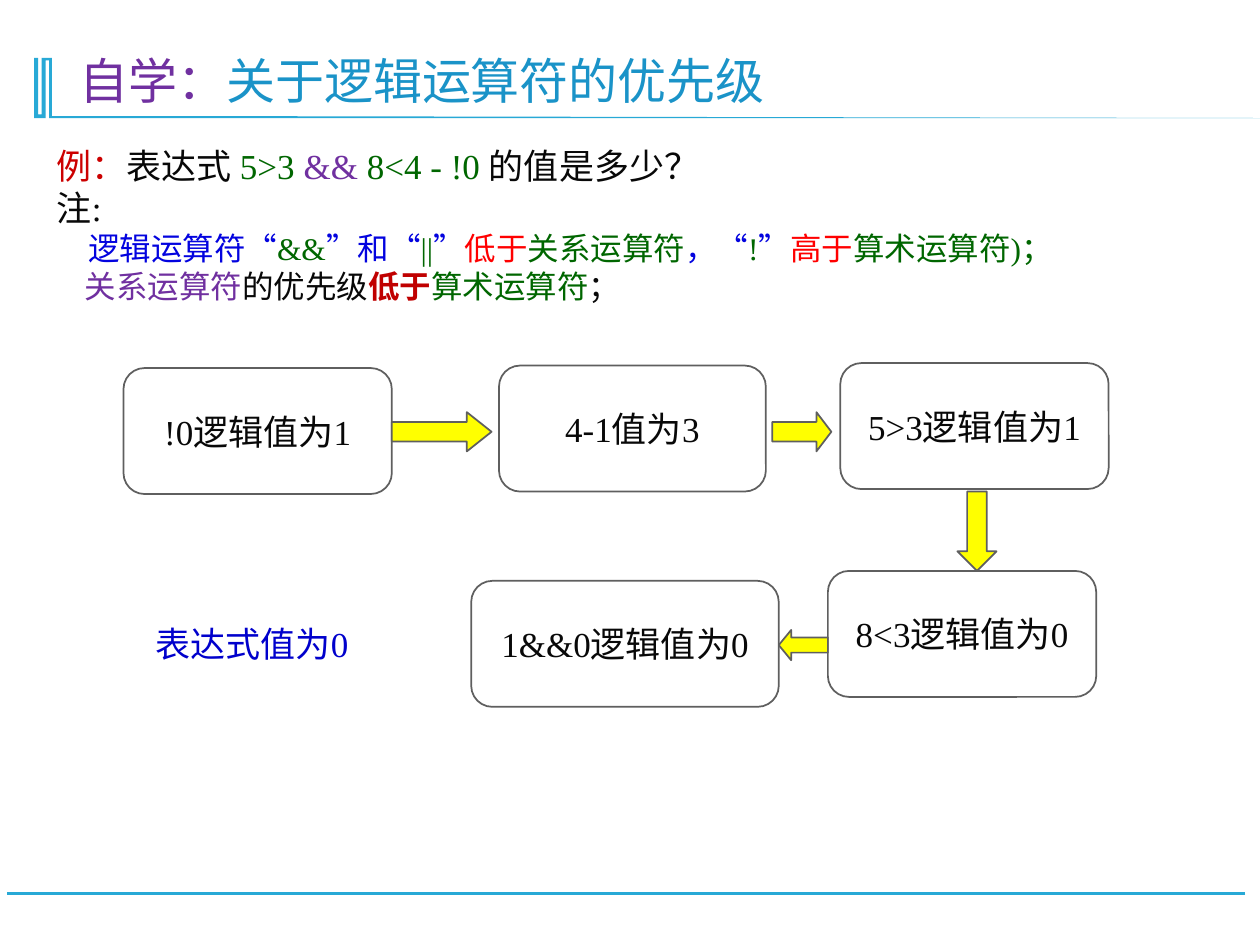
from lxml import etree
from pptx import Presentation
from pptx.util import Cm, Pt
from pptx.dml.color import RGBColor
from pptx.enum import shapes, text
from pptx.oxml.ns import qn

FONT = "Times New Roman"
CYAN, GREY, INK = "28A9D6", "5F5F5F", "080808"
BLUE, GREEN, RED, PLUM = "0303DF", "006600", "FF0000", "7030A0"
KIND = shapes.MSO_SHAPE


def color(part, code):
    if hasattr(part, "solid"):
        part.solid()
        part = part.fore_color
    part.rgb = RGBColor.from_string(code)


def write(para, runs, size):
    for words, code, *bold in runs:
        run = para.add_run()
        run.text = words
        run.font.name = FONT
        run.font.size = Pt(size)
        run.font.bold = bool(bold)
        color(run.font.color, code)


def place(shape, box):
    shape.left, shape.top, shape.width, shape.height = map(Cm, box)


def center(shape, words, code):
    frame = shape.text_frame
    frame.word_wrap = False
    frame.vertical_anchor = text.MSO_ANCHOR.MIDDLE
    para = frame.paragraphs[0]
    para.alignment = text.PP_ALIGN.CENTER
    write(para, [(words, code)], 20)


def draw(slide, kind, box, fill, adjust):
    shape = slide.shapes.add_shape(kind, *map(Cm, box))
    shape.shadow.inherit = False
    color(shape.fill, fill)
    color(shape.line.fill, GREY)
    shape.line.width = Pt(1)
    for i, value in enumerate(adjust):
        shape.adjustments[i] = value
    return shape


def frame_page(slide, box):
    left, top, width, height = box
    line = slide.shapes.add_connector(
        shapes.MSO_CONNECTOR.STRAIGHT, Cm(25.1), Cm(18.01), Cm(0.15), Cm(18.01))
    color(line.line.fill, CYAN)
    line.line.width = Pt(1.25)
    etree.SubElement(line._element.spPr, qn("a:effectLst"))

    points = [(0.36, 0), (0.36, 1.17), (2.87, 1.17), (width, height),
              (0.3, height), (0.3, 0.05), (0.23, 0.05), (0.23, height),
              (0, height), (0, 0), (0.08, 0), (0.08, 1.14), (0.15, 1.14),
              (0.15, 0)]
    spots = [(Cm(left + x), Cm(top + y)) for x, y in points]
    pen = slide.shapes.build_freeform(*spots[0])
    pen.add_line_segments(spots[1:], close=True)
    mark = pen.convert_to_shape()
    mark.shadow.inherit = False
    color(mark.fill, CYAN)
    mark.line.fill.background()


def head(slide, box):
    title = slide.shapes.title
    place(title, box)
    frame = title.text_frame
    frame.auto_size = text.MSO_AUTO_SIZE.NONE
    frame.vertical_anchor = text.MSO_ANCHOR.BOTTOM
    para = frame.paragraphs[0]
    para.alignment = text.PP_ALIGN.LEFT
    para.line_spacing = 0.9
    write(para, [("自学：", PLUM), ("关于逻辑运算符的优先级", "1A93C8")], 28)


def notes(slide, box):
    body = slide.placeholders[1]
    place(body, box)
    frame = body.text_frame
    frame.auto_size = text.MSO_AUTO_SIZE.NONE
    frame.word_wrap = False
    lines = [
        (20, 0, [("例：", "CC0000"), ("表达式 ", INK), ("5>3 ", GREEN),
                 ("&&", PLUM), (" 8<4 - !0 ", GREEN), ("的值是多少？", INK)]),
        (20, 0, [("注:", INK)]),
        (18, 0.63, [("逻辑运算符“", BLUE), ("&&", GREEN), ("”和“", BLUE),
                    ("||", GREEN), ("”", BLUE), ("低于", RED),
                    ("关系运算符", GREEN), ("，“", BLUE), ("!", GREEN),
                    ("”", BLUE), ("高于", RED), ("算术运算符)；", GREEN)]),
        (18, 0.56, [("关系运算符", PLUM), ("的优先级", INK),
                    ("低于", "C00000", True), ("算术运算符", GREEN),
                    ("；", INK)]),
    ]
    for i, (size, indent, runs) in enumerate(lines):
        para = frame.add_paragraph() if i else frame.paragraphs[0]
        props = para._p.get_or_add_pPr()
        props.set("marL", str(Cm(indent)))
        props.set("indent", "0")
        etree.SubElement(props, qn("a:buNone"))
        para.space_before = Pt(0)
        write(para, runs, size)


def flow(slide, box):
    left, top = box[:2]
    steps = [
        ("!0逻辑值为1", 0, 0.1, 5.41),
        ("4-1值为3", 7.57, 0.05, 5.38),
        ("5>3逻辑值为1", 14.45, 0, 5.41),
        ("8<3逻辑值为0", 14.2, 4.19, 5.41),
        ("1&&0逻辑值为0", 7.01, 4.39, 6.2),
    ]
    for words, x, y, width in steps:
        step = draw(slide, KIND.ROUNDED_RECTANGLE,
                    (left + x, top + y, width, 2.54), "FFFFFF", [0.167])
        center(step, words, INK)
    arrows = [
        (KIND.RIGHT_ARROW, 5.41, 0.99, 2.01, 0.79, 0.63),
        (KIND.RIGHT_ARROW, 13.08, 0.99, 1.19, 0.79, 0.38),
        (KIND.DOWN_ARROW, 16.81, 2.59, 0.79, 1.6, 0.5),
        (KIND.LEFT_ARROW, 13.21, 5.38, 0.99, 0.61, 0.41),
    ]
    for kind, x, y, width, height, tip in arrows:
        draw(slide, kind, (left + x, top + y, width, height), "FFFF00",
             [0.5, tip])
    result = slide.shapes.add_textbox(
        Cm(left - 0.38), Cm(top + 4.39), Cm(5.94), Cm(2.54))
    center(result, "表达式值为0", "0000CC")


def main():
    deck = Presentation()
    deck.slide_width, deck.slide_height = Cm(25.4), Cm(19.05)
    slide = deck.slides.add_slide(deck.slide_layouts[1])
    frame_page(slide, (0.69, 1.17, 24.71, 1.21))
    head(slide, (1.35, 0.71, 22.48, 1.63))
    notes(slide, (0.89, 2.79, 22.94, 4))
    flow(slide, (2.49, 7.32, 19.86, 6.93))
    deck.save("out.pptx")


if __name__ == "__main__":
    main()
